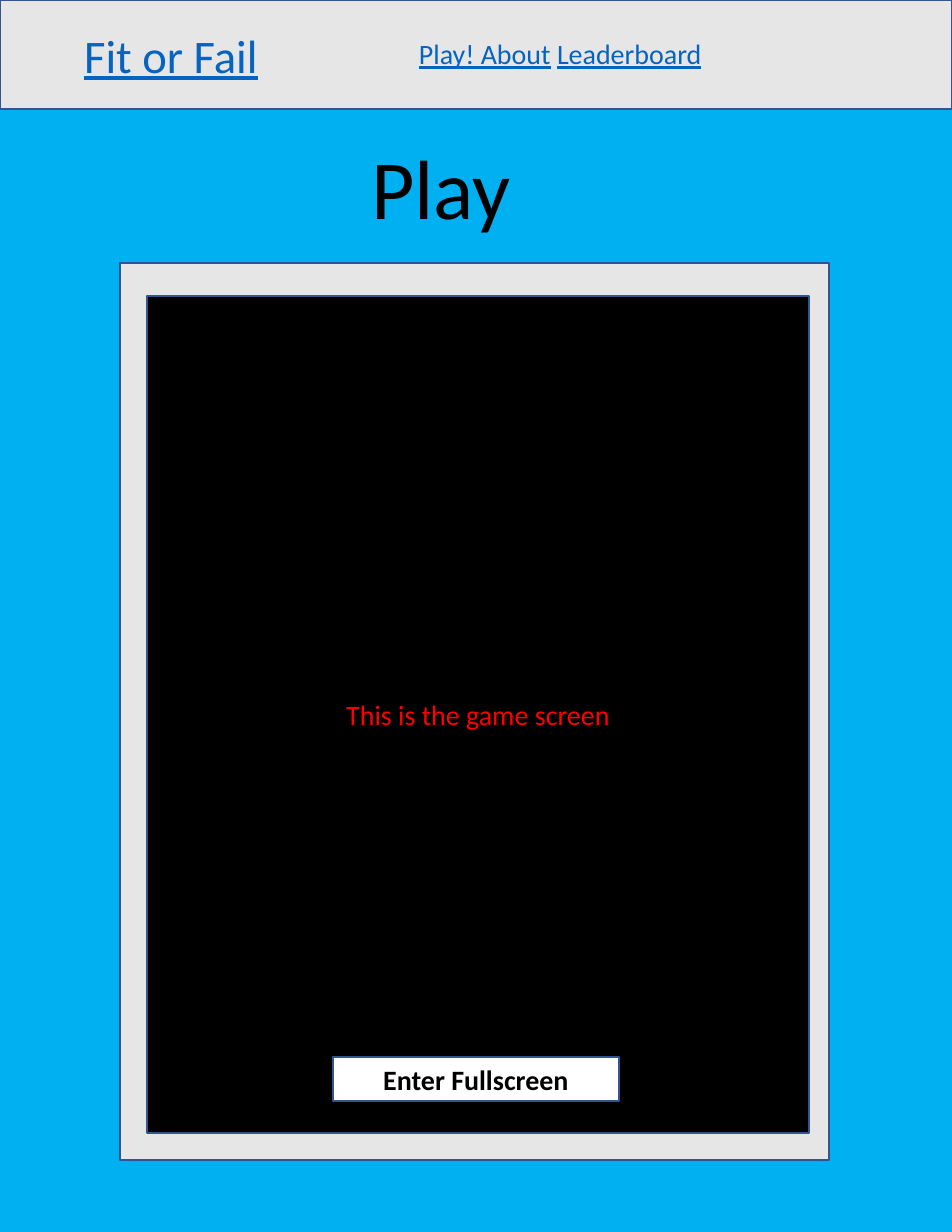
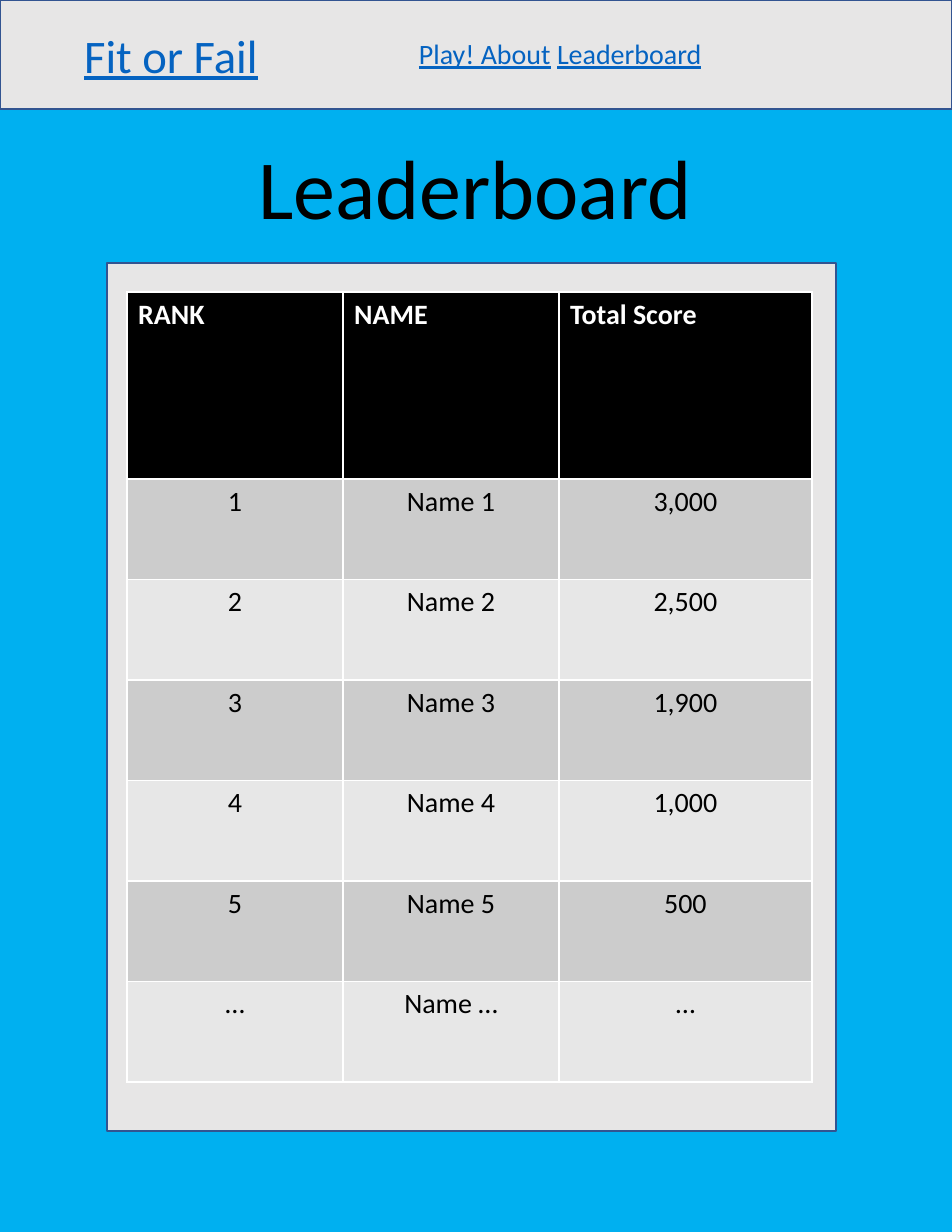
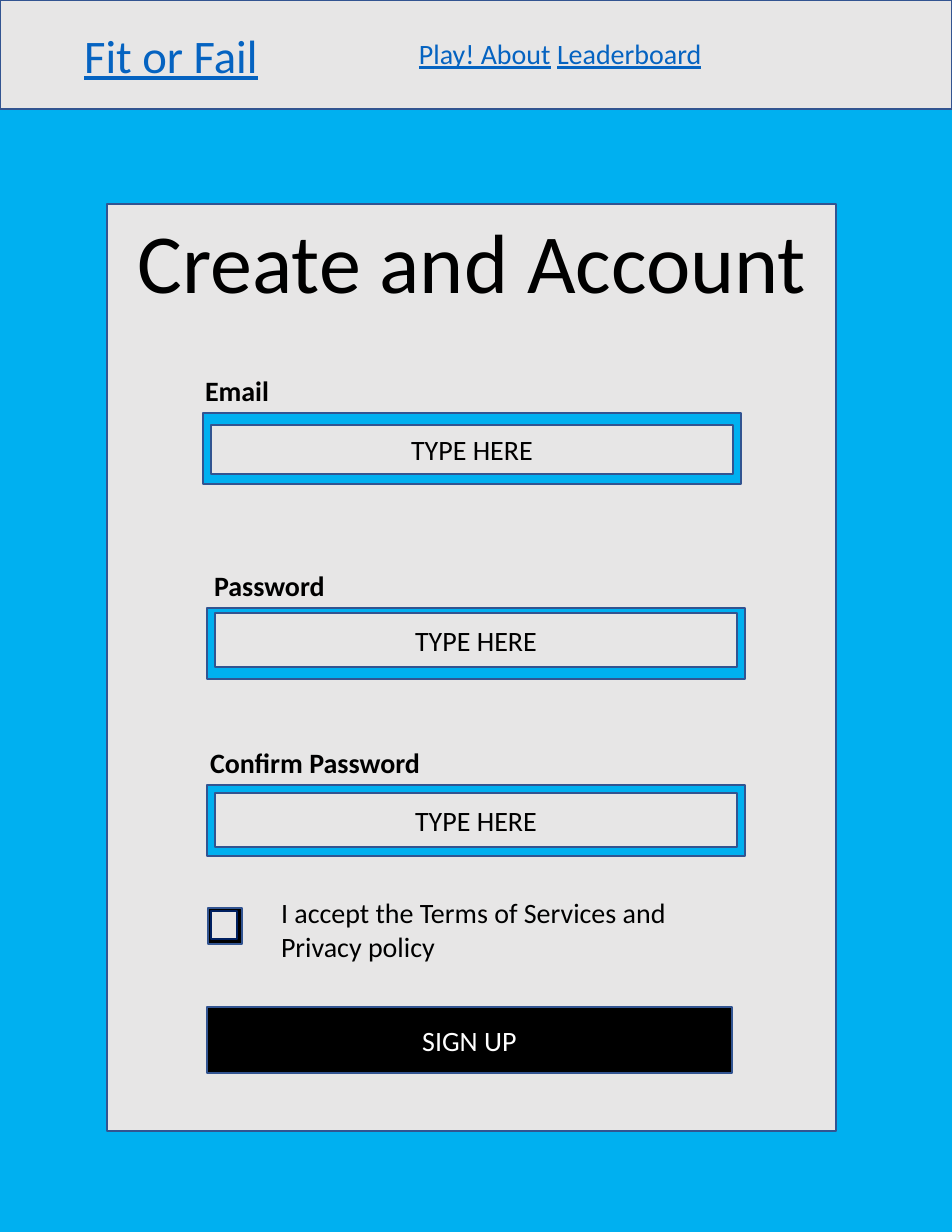
from pptx import Presentation
from pptx.dml.color import RGBColor
from pptx.enum.shapes import MSO_SHAPE
from pptx.enum.text import MSO_ANCHOR, MSO_AUTO_SIZE, PP_ALIGN
from pptx.util import Emu, Pt

RECT = MSO_SHAPE.RECTANGLE
MIDDLE = MSO_ANCHOR.MIDDLE
GROW = MSO_AUTO_SIZE.SHAPE_TO_FIT_TEXT
LEFT, CENTER = PP_ALIGN.LEFT, PP_ALIGN.CENTER

SKY = RGBColor(0x00, 0xB0, 0xF0)
PANEL = RGBColor(0xE7, 0xE6, 0xE6)
EDGE = RGBColor(0x32, 0x54, 0x91)
NAVY = RGBColor(0x00, 0x20, 0x60)
LINK = RGBColor(0x05, 0x63, 0xC1)
BLACK = RGBColor(0x00, 0x00, 0x00)
WHITE = RGBColor(0xFF, 0xFF, 0xFF)
RED = RGBColor(0xFF, 0x00, 0x00)
BANDS = (RGBColor(0xE7, 0xE7, 0xE7), RGBColor(0xCC, 0xCC, 0xCC))

FONT = "Calibri"
BODY, BRAND, TITLE = 18, 30, 54
WIDTH, HEIGHT = 952, 1232


def px(*sizes):
    """Turn pixels, 112 to the inch, into EMU."""
    return [Emu(round(size * 914400 / 112)) for size in sizes]


class Page:
    def __init__(self, deck):
        self.slide = deck.slides.add_slide(deck.slide_layouts[6])
        fill = self.slide.background.fill
        fill.solid()
        fill.fore_color.rgb = SKY

    def style(self, para, size=BODY, color=BLACK, bold=False, align=LEFT):
        para.alignment = align
        font = para.font
        font.name, font.size, font.bold = FONT, Pt(size), bold
        font.color.rgb = color

    def rect(self, x, y, w, h, fill, text="", color=BLACK, bold=False, edge=EDGE):
        shape = self.slide.shapes.add_shape(RECT, *px(x, y, w, h))
        shape.shadow.inherit = False
        shape.fill.solid()
        shape.fill.fore_color.rgb = fill
        shape.line.color.rgb = edge
        shape.line.width = Pt(1)
        if text:
            frame = shape.text_frame
            frame.vertical_anchor = MIDDLE
            frame.text = text
            self.style(frame.paragraphs[0], color=color, bold=bold, align=CENTER)

    def text(self, x, y, w, h, text, wrap=True, **look):
        frame = self.slide.shapes.add_textbox(*px(x, y, w, h)).text_frame
        frame.word_wrap = wrap
        frame.auto_size = GROW
        para = frame.paragraphs[0]
        para.text = text
        self.style(para, **look)
        return para

    def title(self, x, y, w, text):
        self.text(x, y, w, 113, text, wrap=False, size=TITLE, align=CENTER)

    def header(self):
        self.rect(0, 0, WIDTH, 109, PANEL)
        brand = self.text(72, 21, 198, 68, "Fit or Fail", wrap=False,
                          size=BRAND, color=LINK, align=CENTER)
        brand.font.underline = True
        brand.runs[0].font.underline = True
        menu = self.text(408, 31, 525, 45, "", color=LINK)
        for label in ("Play! About", " ", "Leaderboard"):
            run = menu.add_run()
            run.text = label
            run.font.underline = label != " "

    def table(self, x, y, cols, head, step, rows):
        """Draw rows under a black heading row, banded in two greys."""
        high = [head] + [step] * (len(rows) - 1)
        frame = self.slide.shapes.add_table(
            len(rows), len(cols), *px(x, y, sum(cols), sum(high)))
        grid = frame.table
        for col, size in zip(grid.columns, px(*cols)):
            col.width = size
        for r, (row, size) in enumerate(zip(grid.rows, px(*high))):
            row.height = size
            for cell, label in zip(row.cells, rows[r]):
                cell.text = label
                cell.fill.solid()
                cell.fill.fore_color.rgb = BANDS[r % 2] if r else BLACK
                self.style(cell.text_frame.paragraphs[0], bold=r == 0,
                           color=BLACK if r else WHITE,
                           align=CENTER if r else LEFT)

    def field(self, x, y, label, shift, wide, inset, high):
        """Draw a label above a framed entry box."""
        self.rect(x, y, 538, 71, SKY)
        self.text(x + shift, y - 45, wide, 45, label, bold=True)
        self.rect(x + 8, y + inset, 522, high, PANEL, "TYPE HERE")


def play(deck):
    page = Page(deck)
    page.header()
    page.title(359, 130, 164, "Play")
    page.rect(120, 263, 709, 897, PANEL)
    page.rect(147, 296, 662, 837, BLACK, "This is the game screen", RED)
    page.rect(333, 1057, 286, 44, WHITE, "Enter Fullscreen", bold=True)


def board(deck):
    page = Page(deck)
    page.header()
    page.title(245, 130, 460, "Leaderboard")
    page.rect(107, 263, 729, 868, PANEL)
    scores = ("3,000", "2,500", "1,900", "1,000", "500")
    rows = [("RANK", "NAME", "Total Score")]
    rows += [(str(n), f"Name {n}", score) for n, score in enumerate(scores, 1)]
    rows.append(("…", "Name …", "…"))
    page.table(127, 292, (216, 216, 253), 187, 100.5, rows)


def signup(deck):
    page = Page(deck)
    page.rect(107, 204, 729, 927, PANEL)
    page.header()
    page.title(123, 204, 698, "Create and Account")
    page.field(203, 413, "Email", -9, 119, 12, 49)
    page.field(207, 608, "Password", -4, 155, 5, 54)
    page.field(207, 785, "Confirm Password", -8, 264, 8, 54)
    page.rect(207, 1007, 525, 66, BLACK, "SIGN UP", WHITE)
    page.rect(208, 908, 34, 36, BLACK)
    page.rect(211, 911, 26, 28, PANEL, edge=NAVY)
    page.text(270, 890, 440, 80, "I accept the Terms of Services and Privacy policy")


def main():
    deck = Presentation()
    deck.slide_width, deck.slide_height = px(WIDTH, HEIGHT)
    for build in (play, board, signup):
        build(deck)
    deck.save("out.pptx")


if __name__ == "__main__":
    main()
